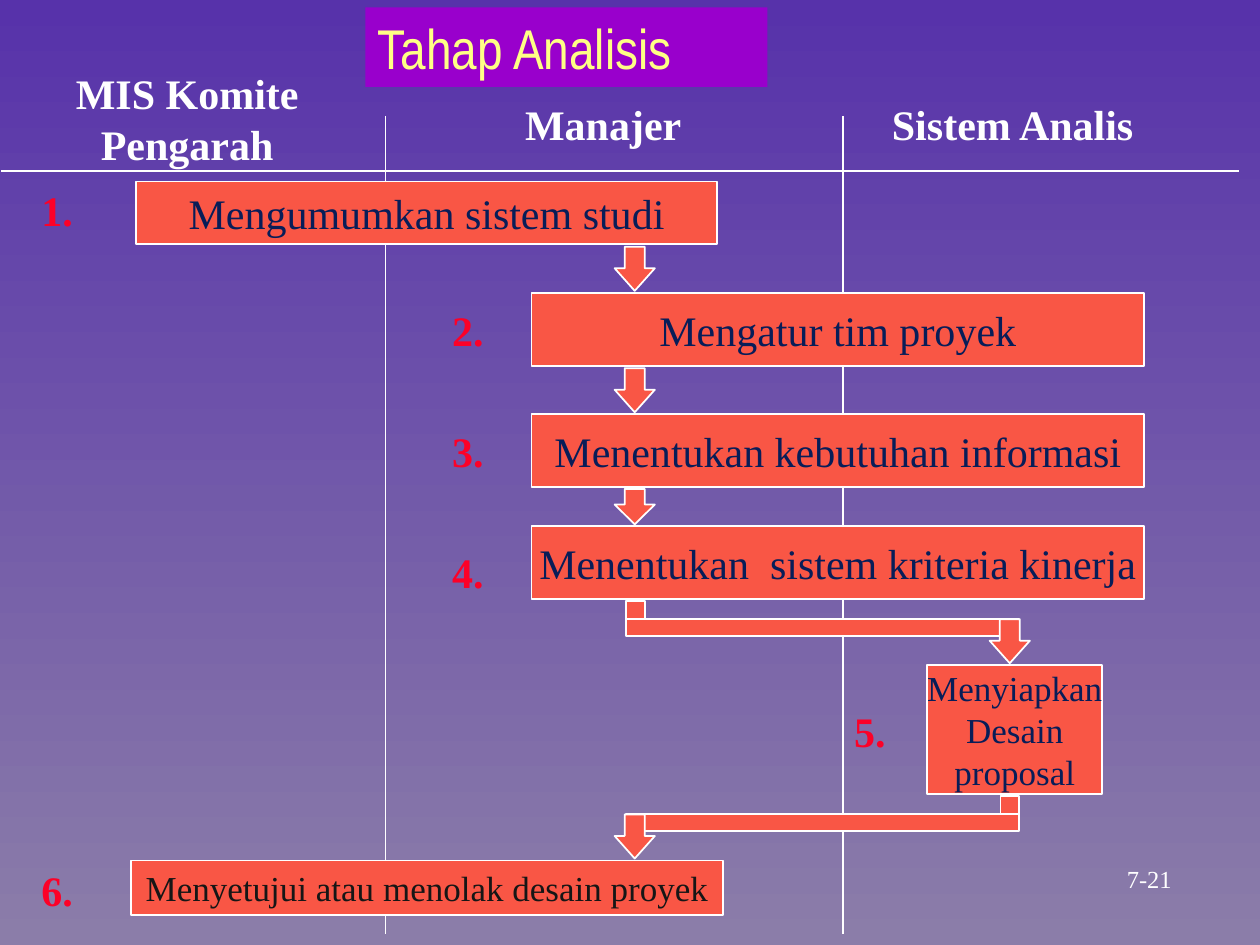
from lxml.etree import SubElement
from pptx import Presentation
from pptx.dml.color import RGBColor
from pptx.enum.shapes import MSO_CONNECTOR as Connector, MSO_SHAPE as Preset
from pptx.enum.text import MSO_ANCHOR as Anchor, MSO_AUTO_SIZE as AutoSize, PP_ALIGN as Align
from pptx.oxml.ns import qn
from pptx.util import Pt

WHITE = RGBColor(0xFF, 0xFF, 0xFF)
CORAL = RGBColor(0xF9, 0x56, 0x45)
NAVY = RGBColor(0x08, 0x1D, 0x58)
BLACK = RGBColor(0x16, 0x16, 0x16)
RED = RGBColor(0xFC, 0x01, 0x28)
PURPLE = RGBColor(0x99, 0x00, 0xCC)
YELLOW = RGBColor(0xFF, 0xFF, 0x85)
SKY_TOP = RGBColor(0x57, 0x32, 0xAA)
SKY_BOTTOM = RGBColor(0x8B, 0x7D, 0xA9)


class FlowSlide:
    """Draws the parts of a swimlane flowchart on one slide, in points."""

    font_name = "Times New Roman"
    line_width = Pt(1)

    def __init__(self, slide):
        self.slide = slide

    def background(self, top_color, bottom_color):
        fill = self.slide.background.fill
        fill.gradient()
        fill.gradient_angle = 270
        for stop, color in zip(fill.gradient_stops, (top_color, bottom_color)):
            stop.color.rgb = color

    def line(self, x1, y1, x2, y2):
        connector = self.slide.shapes.add_connector(
            Connector.STRAIGHT, Pt(x1), Pt(y1), Pt(x2), Pt(y2))
        connector.line.color.rgb = WHITE
        connector.line.width = self.line_width
        SubElement(connector._element.spPr, qn("a:effectLst"))

    def block(self, left, top, width, height, preset=Preset.RECTANGLE):
        shape = self.slide.shapes.add_shape(
            preset, Pt(left), Pt(top), Pt(width), Pt(height))
        shape.shadow.inherit = False
        shape.fill.solid()
        shape.fill.fore_color.rgb = CORAL
        shape.line.color.rgb = WHITE
        shape.line.width = self.line_width
        return shape

    def arrow(self, center, top, height=25.2):
        width = 23
        shape = self.block(center - width / 2, top, width, height, Preset.DOWN_ARROW)
        shape.adjustments[0] = 0.5
        shape.adjustments[1] = 0.56

    def set_text(self, shape, text, size, color, bold=False, align=Align.LEFT,
                 anchor=Anchor.TOP, wrap=False, font_name=None):
        frame = shape.text_frame
        frame.text = text
        frame.word_wrap = wrap
        frame.vertical_anchor = anchor
        for paragraph in frame.paragraphs:
            paragraph.alignment = align
            font = paragraph.font
            font.name = font_name or self.font_name
            font.size = Pt(size)
            font.bold = bold
            font.color.rgb = color

    def step(self, left, top, width, height, text, size=24, color=NAVY):
        shape = self.block(left, top, width, height)
        self.set_text(shape, text, size, color, align=Align.CENTER, anchor=Anchor.MIDDLE)

    def label(self, left, top, width, height, text, size=24, color=WHITE, bold=True, **style):
        shape = self.slide.shapes.add_textbox(Pt(left), Pt(top), Pt(width), Pt(height))
        self.set_text(shape, text, size, color, bold, **style)
        shape.text_frame.auto_size = AutoSize.SHAPE_TO_FIT_TEXT
        return shape


def main():
    presentation = Presentation()
    presentation.slide_width, presentation.slide_height = Pt(720), Pt(540)
    flow = FlowSlide(presentation.slides.add_slide(presentation.slide_layouts[6]))
    flow.background(SKY_TOP, SKY_BOTTOM)

    flow.line(0.7, 97.9, 707.8, 97.9)
    for divider in (220.3, 481.7):
        flow.line(divider, 66.2, divider, 533.5)

    flow.step(77.8, 103.7, 332, 36, "Mengumumkan sistem studi")
    shared_steps = (
        (167.5, "Mengatur tim proyek"),
        (236.7, "Menentukan kebutuhan informasi"),
        (300.5, "Menentukan  sistem kriteria kinerja"),
    )
    for top, text in shared_steps:
        flow.step(303.8, top, 350, 41.8, text)
    flow.step(529.9, 380.2, 100, 73.6, "Menyiapkan\nDesain\nproposal", size=20)
    flow.step(74.9, 491.8, 338.4, 31, "Menyetujui atau menolak desain proyek", 20, BLACK)

    numbers = ((16.6, 102.2), (251.3, 170.6), (251.3, 239.8),
               (251.3, 308.9), (481, 399.6), (16.6, 490.3))
    for number, (left, top) in enumerate(numbers, 1):
        flow.label(left, top, 32.6, 36, f"{number}.", color=RED)

    main_lane, analyst_lane = 362.7, 577
    flow.arrow(main_lane, 141)
    flow.arrow(main_lane, 210.4)
    flow.arrow(main_lane, 279.4, 20.2)
    for stem_left, stem_top, arrow_center in ((357.8, 343.4, analyst_lane),
                                              (571.7, 455, main_lane)):
        flow.block(stem_left, stem_top, 10.8, 15.1)
        flow.block(357.8, stem_top + 10.2, 224.6, 9.8)
        flow.arrow(arrow_center, stem_top + 10.4)

    title = flow.label(208.8, 4.3, 229.7, 45.4, "Tahap Analisis", 32, YELLOW,
                       bold=False, font_name="Arial Narrow")
    title.fill.solid()
    title.fill.fore_color.rgb = PURPLE
    flow.label(5.8, 35.3, 202.3, 64.8, "MIS Komite Pengarah", align=Align.CENTER, wrap=True)
    flow.label(293, 52.6, 103.7, 36, "Manajer")
    flow.label(502.6, 52.6, 153.4, 36, "Sistem Analis")
    flow.label(614.2, 489.6, 85, 24.5, "7-21", 14, bold=False,
               align=Align.CENTER, anchor=Anchor.MIDDLE)

    presentation.save("out.pptx")


if __name__ == "__main__":
    main()
